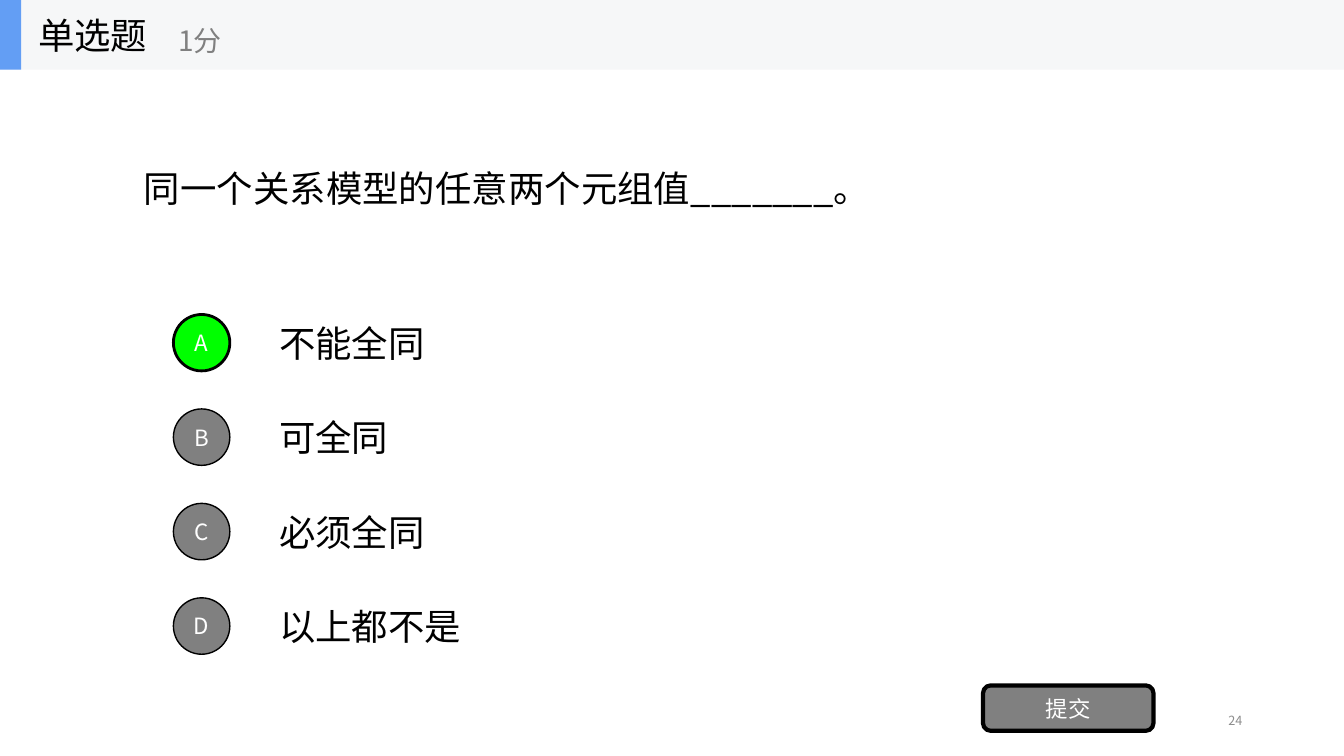
from dataclasses import dataclass

import lxml.etree
import pptx
import pptx.dml.color
import pptx.enum.shapes
import pptx.enum.text
import pptx.oxml.ns
import pptx.util

Inches = pptx.util.Inches
SHAPE = pptx.enum.shapes.MSO_SHAPE
ALIGN = pptx.enum.text.PP_ALIGN
MIDDLE = pptx.enum.text.MSO_ANCHOR.MIDDLE

FONT_NAME = "Noto Sans CJK SC"
COLORS = {
    "black": "000000",
    "white": "FFFFFF",
    "gray": "808080",
    "number": "8C8C8C",
    "correct": "00FF00",
    "band": "F6F7F8",
    "accent": "639EF4",
}
PAGE_WIDTH, PAGE_HEIGHT = 13.33, 7.5
HEADER_HEIGHT = 0.69
FIRST_OPTION_TOP, OPTION_PITCH, OPTION_HEIGHT = 3.05, 0.937, 0.7
BADGE_LEFT, BADGE_SIZE = 1.72, 0.56


@dataclass
class Area:
    left: float
    top: float
    width: float
    height: float

    def lengths(self) -> list:
        return [Inches(v) for v in (self.left, self.top, self.width, self.height)]


@dataclass
class Label:
    text: str
    size: int = 26
    color: str = "black"
    align: ALIGN = ALIGN.LEFT


@dataclass
class Option:
    letter: str
    answer: str
    fill: str = "gray"
    line_width: int = 1


OPTIONS = [
    Option("A", "不能全同", "correct", 2),
    Option("B", "可全同"),
    Option("C", "必须全同"),
    Option("D", "以上都不是"),
]


def rgb(name: str) -> pptx.dml.color.RGBColor:
    return pptx.dml.color.RGBColor.from_string(COLORS[name])


def write_label(box, label: Label) -> None:
    frame = box.text_frame
    for name, value in {"word_wrap": True, "vertical_anchor": MIDDLE}.items():
        setattr(frame, name, value)
    para = frame.paragraphs[0]
    para.alignment = label.align
    span = para.add_run()
    span.text = label.text
    formats = {"name": FONT_NAME, "size": pptx.util.Pt(label.size)}
    for name, value in formats.items():
        setattr(span.font, name, value)
    span.font.color.rgb = rgb(label.color)
    # East Asian text takes its typeface from a:ea
    east_asian = lxml.etree.SubElement(span.font._element, pptx.oxml.ns.qn("a:ea"))
    east_asian.set("typeface", FONT_NAME)


def add_text(shapes, area: Area, label: Label) -> None:
    write_label(shapes.add_textbox(*area.lengths()), label)


def add_block(shapes, kind: SHAPE, area: Area, fill: str,
              line_width: int = 0, text: str = "") -> None:
    block = shapes.add_shape(kind, *area.lengths())
    block.shadow.inherit = False
    block.fill.solid()
    block.fill.fore_color.rgb = rgb(fill)
    if line_width:
        block.line.color.rgb = rgb("black")
        block.line.width = pptx.util.Pt(line_width)
    else:
        block.line.fill.background()
    if text:
        write_label(block, Label(text, 16, "white", ALIGN.CENTER))


def main() -> None:
    deck = pptx.Presentation()
    deck.slide_width, deck.slide_height = Inches(PAGE_WIDTH), Inches(PAGE_HEIGHT)
    page = deck.slides.add_slide(deck.slide_layouts[6])
    shapes = page.shapes

    # Page number and question
    add_text(shapes, Area(9.42, 6.95, 3, 0.4), Label("24", 9, "number", ALIGN.RIGHT))
    add_text(shapes, Area(1.33, HEADER_HEIGHT, 10.67, 2.34),
             Label("同一个关系模型的任意两个元组值_______。"))

    # Answer options, each with a lettered badge
    for index, option in enumerate(OPTIONS):
        top = FIRST_OPTION_TOP + index * OPTION_PITCH
        badge_top = top + (OPTION_HEIGHT - BADGE_SIZE) / 2
        add_text(shapes, Area(2.67, top, 9.33, OPTION_HEIGHT), Label(option.answer))
        add_block(shapes, SHAPE.OVAL,
                  Area(BADGE_LEFT, badge_top, BADGE_SIZE, BADGE_SIZE),
                  option.fill, option.line_width, option.letter)

    # Submit button
    add_block(shapes, SHAPE.ROUNDED_RECTANGLE, Area(9.75, 6.8, 1.69, 0.45),
              "gray", 3, "提交")

    # Header band
    header = shapes.add_group_shape().shapes
    add_block(header, SHAPE.RECTANGLE, Area(0, 0, PAGE_WIDTH, HEADER_HEIGHT), "band")
    add_block(header, SHAPE.RECTANGLE, Area(0, 0, 0.21, HEADER_HEIGHT), "accent")
    add_text(header, Area(0.28, 0, 2.08, HEADER_HEIGHT), Label("单选题"))
    add_text(header, Area(1.67, 0.12, 2.5, 0.56), Label("1分", 20, "gray"))

    deck.save("out.pptx")


if __name__ == "__main__":
    main()
